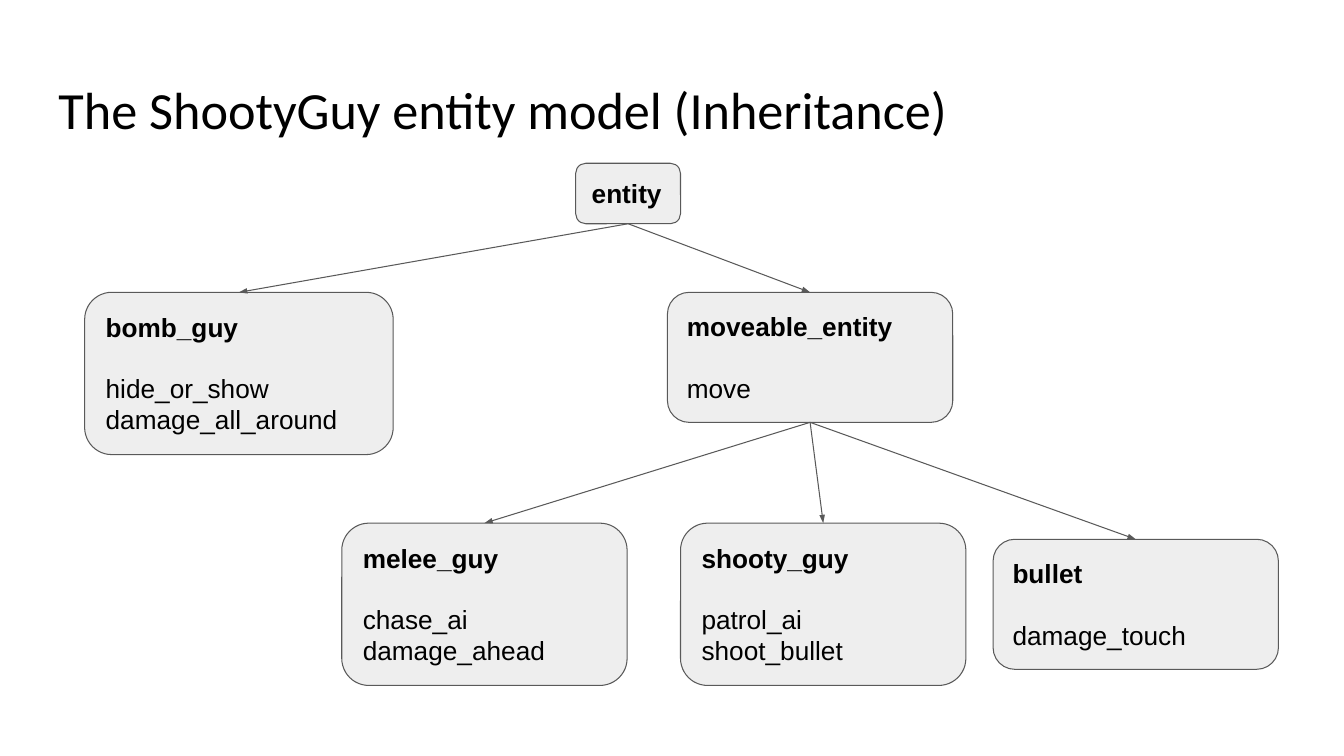
from dataclasses import dataclass

from lxml.etree import SubElement
from pptx import Presentation
from pptx.dml.color import RGBColor
from pptx.enum.shapes import MSO_CONNECTOR, MSO_SHAPE
from pptx.enum.text import MSO_ANCHOR, MSO_AUTO_SIZE, PP_ALIGN
from pptx.oxml.ns import qn
from pptx.util import Inches, Pt


@dataclass(frozen=True)
class Theme:
    text: RGBColor = RGBColor(0x00, 0x00, 0x00)
    fill: RGBColor = RGBColor(0xEE, 0xEE, 0xEE)
    line: RGBColor = RGBColor(0x59, 0x59, 0x59)
    title_font: str = "Calibri"
    body_font: str = "Arial"
    title_size: float = 37.3
    body_size: float = 18.7
    leading: float = 22
    line_width: float = 0.75


THEME = Theme()

# Class name: (left, top, width, height), methods
CLASSES = {
    "entity": ((5.71, 1.62, 1.04, 0.6), []),
    "bomb_guy": ((0.84, 2.9, 3.06, 1.61), ["hide_or_show", "damage_all_around"]),
    "moveable_entity": ((6.62, 2.9, 2.83, 1.29), ["move"]),
    "melee_guy": ((3.39, 5.19, 2.83, 1.61), ["chase_ai", "damage_ahead"]),
    "shooty_guy": ((6.75, 5.19, 2.83, 1.61), ["patrol_ai", "shoot_bullet"]),
    "bullet": ((9.85, 5.35, 2.83, 1.29), ["damage_touch"]),
}
CHILDREN = {
    "entity": ["bomb_guy", "moveable_entity"],
    "moveable_entity": ["melee_guy", "shooty_guy", "bullet"],
}
BOTTOM_SITE, TOP_SITE = 2, 0


def write(p, text, *, font=THEME.body_font, size=THEME.body_size, bold=False,
          leading=None, before=0):
    p.alignment = PP_ALIGN.LEFT
    p.space_before = Pt(before)
    if leading:
        p.line_spacing = Pt(leading)
    r = p.add_run()
    r.text = text
    r.font.name = font
    r.font.size = Pt(size)
    r.font.bold = bold
    r.font.color.rgb = THEME.text


def set_frame(tf, left, top=0):
    tf.word_wrap = True
    tf.auto_size = MSO_AUTO_SIZE.NONE
    tf.vertical_anchor = MSO_ANCHOR.MIDDLE
    tf.margin_left, tf.margin_top = Inches(left), Inches(top)
    tf.margin_right = tf.margin_bottom = 0


def add_title(s, text, box):
    sp = s.shapes.title
    sp.left, sp.top, sp.width, sp.height = map(Inches, box)
    set_frame(sp.text_frame, 0.02, 0.02)
    write(sp.text_frame.paragraphs[0], text,
          font=THEME.title_font, size=THEME.title_size)


def add_class(s, name, methods, box):
    sp = s.shapes.add_shape(MSO_SHAPE.ROUNDED_RECTANGLE, *map(Inches, box))
    sp.shadow.inherit = False
    sp.fill.solid()
    sp.fill.fore_color.rgb = THEME.fill
    sp.line.color.rgb = THEME.line
    sp.line.width = Pt(THEME.line_width)
    tf = sp.text_frame
    set_frame(tf, 0.13)
    write(tf.paragraphs[0], name, bold=True, leading=THEME.leading)
    for i, method in enumerate(methods):
        # A one-line gap separates the name from its methods
        write(tf.add_paragraph(), method, leading=THEME.leading,
              before=0 if i else THEME.leading)
    return sp


def add_arrow(s, parent, child):
    c = s.shapes.add_connector(MSO_CONNECTOR.STRAIGHT, 0, 0, 0, 0)
    c.begin_connect(parent, BOTTOM_SITE)
    c.end_connect(child, TOP_SITE)
    c.line.color.rgb = THEME.line
    c.line.width = Pt(THEME.line_width)
    SubElement(c.line._get_or_add_ln(), qn("a:tailEnd"),
               type="triangle", w="sm", len="med")
    SubElement(c._element.spPr, qn("a:effectLst"))


def add_class_tree(s):
    boxes = {name: add_class(s, name, methods, box)
             for name, (box, methods) in CLASSES.items()}
    for parent, children in CHILDREN.items():
        for child in children:
            add_arrow(s, boxes[parent], boxes[child])


def main():
    prs = Presentation()
    prs.slide_width, prs.slide_height = Inches(13.33), Inches(7.5)
    s = prs.slides.add_slide(prs.slide_layouts[5])
    add_title(s, "The ShootyGuy entity model (Inheritance)",
              (0.56, 0.74, 9.62, 0.65))
    add_class_tree(s)
    prs.save("out.pptx")


if __name__ == "__main__":
    main()
